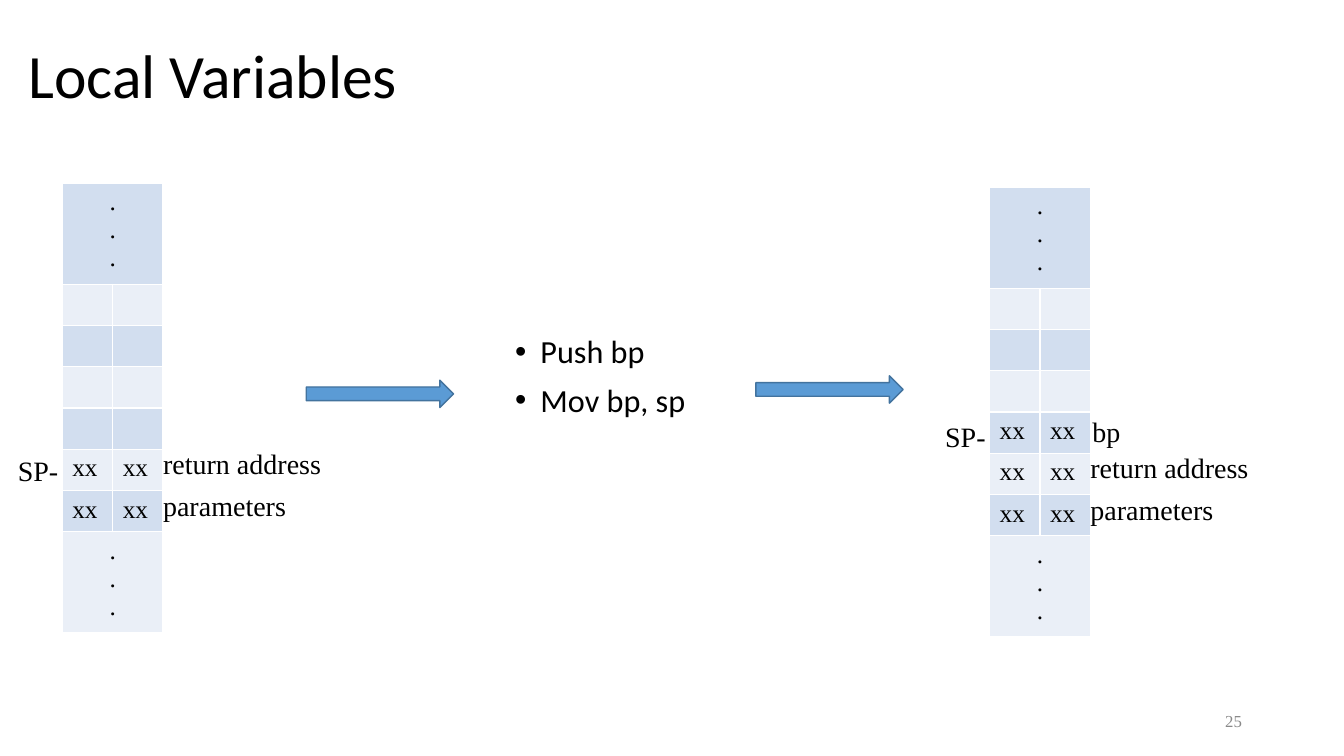
from lxml.etree import SubElement as Sub
from pptx import Presentation
from pptx.dml.color import RGBColor
from pptx.enum.shapes import MSO_SHAPE as Kind
from pptx.enum.text import MSO_ANCHOR as Anchor, PP_ALIGN as Align
from pptx.oxml.ns import qn
from pptx.util import Cm, Pt


def tint(code):
    """Turn a hex string into a colour."""
    return RGBColor.from_string(code)


class Sheet:
    """Hold the style and the current slide."""

    sans, serif = "Calibri", "Times New Roman"
    ink, gray = "000000", "898989"
    blue, edge = "5B9BD5", "43739E"
    bands = "D2DEEF", "EAEFF7"

    def __init__(self, deck):
        """Add a slide with a title."""
        self.slide = deck.slides.add_slide(deck.slide_layouts[5])
        self.shapes = self.slide.shapes

    def fill(self, frame, text, size, face, color=ink, bullet=False, **form):
        """Fill a frame, one paragraph for each line of text."""
        frame.text = text
        for num, para in enumerate(frame.paragraphs):
            if bullet:
                props = para._p.get_or_add_pPr()
                props.set("marL", str(Cm(0.64)))
                props.set("indent", str(Cm(-0.64)))
                Sub(props, qn("a:buFont"), typeface="Arial")
                Sub(props, qn("a:buChar"), char="•")
                para.space_before = Pt(10 if num else 0)
            for key, val in form.items():
                setattr(para, key, val)
            for key, val in {"size": Pt(size), "name": face}.items():
                setattr(para.font, key, val)
            para.font.color.rgb = tint(color)

    def title(self, text, *box):
        """Place and format the title."""
        head = self.shapes.title
        for key, val in zip(("left", "top", "width", "height"), box):
            setattr(head, key, Cm(val))
        head.text_frame.vertical_anchor = Anchor.MIDDLE
        self.fill(head.text_frame, text, 44, self.sans,
                  alignment=Align.LEFT, line_spacing=0.9)

    def text(self, text, box, size, face, wrap=False, anchor=Anchor.TOP, **form):
        """Add a text box."""
        frame = self.shapes.add_textbox(*map(Cm, box)).text_frame
        frame.word_wrap = wrap
        frame.vertical_anchor = anchor
        self.fill(frame, text, size, face, **form)

    def arrow(self, *box):
        """Add a block arrow to the right."""
        shape = self.shapes.add_shape(Kind.RIGHT_ARROW, *map(Cm, box))
        shape.shadow.inherit = False
        shape.fill.solid()
        shape.fill.fore_color.rgb = tint(self.blue)
        shape.line.color.rgb = tint(self.edge)
        shape.line.width = Pt(1)

    def stack(self, left, top, used, notes):
        """Add a memory stack with used rows and its side notes."""
        highs = [2.54] + [1.04] * 6 + [2.54]
        last = len(highs) - 1
        table = self.shapes.add_table(len(highs), 2, Cm(left), Cm(top),
                                      Cm(2.54), Cm(sum(highs))).table
        table.first_row = table.horz_banding = False
        for row, high in enumerate(highs):
            table.rows[row].height = Cm(high)
            for cell in table.rows[row].cells:
                cell.fill.solid()
                cell.fill.fore_color.rgb = tint(self.bands[row % 2])
                if last - used <= row < last:
                    self.fill(cell.text_frame, "xx", 18, self.serif)
        for row in (0, last):
            cell = table.cell(row, 0)
            cell.merge(table.cell(row, 1))
            self.fill(cell.text_frame, ".\n.\n.", 18, self.serif,
                      alignment=Align.CENTER)
        for word, right, down, wide in notes:
            self.text(word, (left + right, top + down, wide, 1.12), 20, self.serif)


def main():
    """Build the slide and save it."""
    deck = Presentation()
    deck.slide_width, deck.slide_height = Cm(33.87), Cm(19.05)
    page = Sheet(deck)
    page.title("Local Variables", 0.46, 0.13, 32.97, 3.68)
    page.text("25", (23.93, 17.65, 7.62, 1.02), 12, page.serif, wrap=True,
              anchor=Anchor.MIDDLE, color=page.gray, alignment=Align.RIGHT)
    page.text("Push bp\nMov bp, sp", (12.73, 8.33, 4.83, 3.15), 23, page.sans,
              wrap=True, bullet=True, line_spacing=0.9)
    notes = [("parameters", 2.29, 7.56, 3.63), ("return address", 2.29, 6.51, 4.52)]
    page.stack(1.57, 4.62, 2, notes + [("SP-", -1.37, 6.68, 1.55)])
    page.arrow(7.72, 9.58, 3.71, 0.69)
    page.stack(24.94, 4.72, 3, notes + [("SP-", -1.37, 5.72, 1.55),
                                        ("bp", 2.34, 5.59, 1.22)])
    page.arrow(19.05, 9.47, 3.71, 0.69)
    deck.save("out.pptx")


if __name__ == "__main__":
    main()
